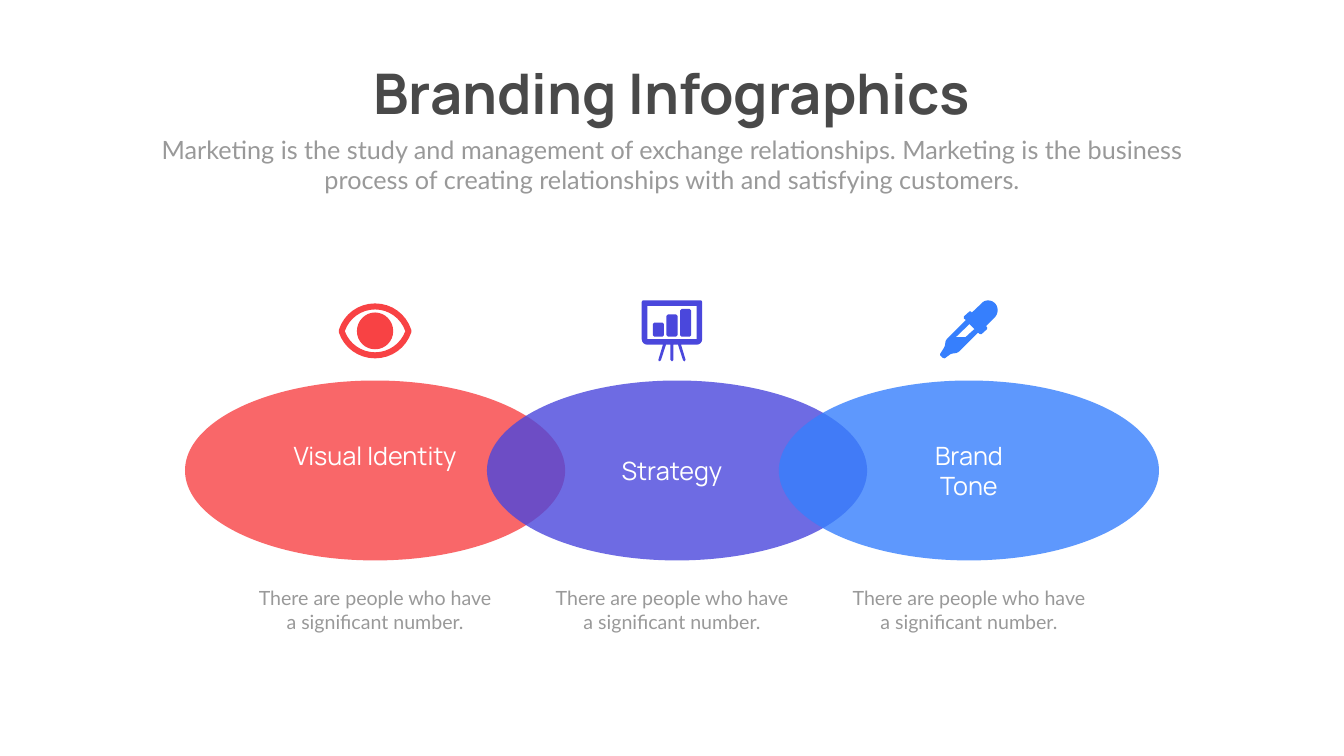
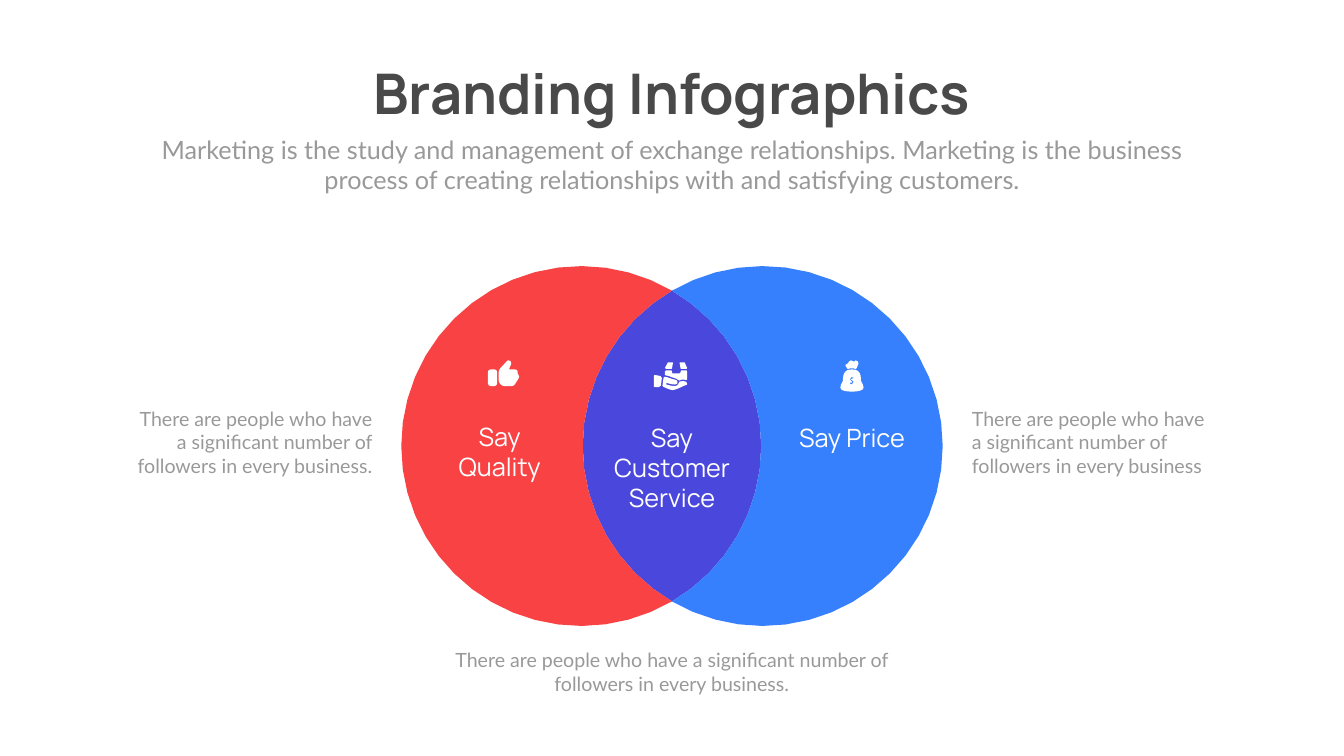
"""Build two branding infographic slides: overlapping ellipses and a Venn diagram."""
import math

import pptx
import pptx.dml.color
import pptx.enum.shapes
import pptx.enum.text
import pptx.oxml.ns
import pptx.util
from lxml import etree

Pt = pptx.util.Pt
RGBColor = pptx.dml.color.RGBColor
ALIGN = pptx.enum.text.PP_ALIGN
RED = RGBColor(0xF8, 0x42, 0x44)
INDIGO = RGBColor(0x4A, 0x47, 0xDC)
BLUE = RGBColor(0x36, 0x7F, 0xFD)
DARK = RGBColor(0x49, 0x49, 0x49)
GREY = RGBColor(0x99, 0x99, 0x99)
WHITE = RGBColor(0xFF, 0xFF, 0xFF)
UNIT = Pt(0.72)
FINE = 100


def add_text(shapes, text, left, top, width, height, size, font, color,
             align=ALIGN.CENTER, bold=None, wrap=True):
    tb = shapes.add_textbox(Pt(left), Pt(top), Pt(width), Pt(height))
    tf = tb.text_frame
    tf.word_wrap = wrap
    tf.auto_size = pptx.enum.text.MSO_AUTO_SIZE.SHAPE_TO_FIT_TEXT
    p = tf.paragraphs[0]
    p.alignment = align
    r = p.add_run()
    r.text = text
    r.font.size = Pt(size)
    r.font.name = font
    r.font.bold = bold
    r.font.color.rgb = color


def draw(shapes, left, top, outline, color):
    contours, command, pending = [], "", []
    for token in outline.split():
        if token in "MLC":
            command = token
            continue
        point = tuple(float(v) * FINE for v in token.split(","))
        if command == "M":
            contours.append([point])
        elif command == "L":
            contours[-1].append(point)
        else:
            pending.append(point)
            if len(pending) == 3:
                curve = [contours[-1][-1]] + pending
                steps = max(1, min(8, round(math.dist(curve[0], curve[3]) / FINE / 4)))
                for t in [i / steps for i in range(1, steps + 1)]:
                    weights = [math.comb(3, k) * t**k * (1 - t)**(3 - k) for k in range(4)]
                    contours[-1].append(tuple(
                        sum(w * q[axis] for w, q in zip(weights, curve)) for axis in (0, 1)))
                pending = []
    builder = shapes.build_freeform(*contours[0][0], scale=UNIT / FINE)
    for i, contour in enumerate(contours):
        if i:
            builder.move_to(*contour[0])
        builder.add_line_segments(contour[1:], close=True)
    sp = builder.convert_to_shape(Pt(left), Pt(top))
    sp.shadow.inherit = False
    sp.fill.solid()
    sp.fill.fore_color.rgb = color
    sp.line.fill.background()


EYE = [
    "M 144,20 C 164,20 180,37 180,57 180,77 164,93 144,93 124,93 108,77 108,57 108,37 124,20 144,20 "
    "M 144,14 C 117,14 93,31 84,57 93,82 117,99 144,99 171,99 195,82 204,57 195,31 171,14 144,14 "
    "M 144,2 C 177,2 206,23 216,55 217,56 217,57 216,59 206,90 177,111 144,111 "
    "111,111 82,90 72,59 71,57 71,56 72,55 82,23 111,2 144,2",
]
BOARD = [
    "M 191,96 L 75,96 C 74,96 73,98 73,99 L 73,173 C 73,179 78,184 84,184 L 115,184 106,214 "
    "C 105,215 106,217 107,217 109,217 111,216 111,215 L 121,184 130,184 130,214 "
    "C 130,216 132,217 133,217 135,217 136,216 136,214 L 136,184 145,184 155,215 "
    "C 156,216 157,217 158,217 160,217 161,215 160,214 L 151,184 182,184 "
    "C 188,184 193,179 193,173 L 193,99 C 193,98 192,96 191,96 "
    "M 182,173 L 84,173 84,107 182,107",
]
for x, y in [(95, 140), (122, 124), (149, 113)]:
    BOARD.append(
        f"M {x + 3},168 L {x + 19},168 C {x + 20},168 {x + 22},167 {x + 22},165 L {x + 22},{y + 3} "
        f"C {x + 22},{y + 2} {x + 20},{y} {x + 19},{y} L {x + 3},{y} "
        f"C {x + 1},{y} {x},{y + 2} {x},{y + 3} L {x},165 C {x},167 {x + 1},168 {x + 3},168")
DROPPER = [
    "M 179,115 C 179,105 171,96 160,96 155,96 150,98 147,102 L 128,120 126,118 "
    "C 125,117 124,117 123,118 L 112,128 C 111,129 111,131 112,132 L 116,135 79,172 "
    "C 76,175 75,178 75,182 75,185 74,188 72,191 L 65,202 C 64,203 64,204 65,205 L 70,210 "
    "C 71,211 73,211 74,211 L 85,203 C 87,202 90,201 93,201 97,201 101,199 103,197 "
    "108,192 137,163 140,160 L 144,163 C 144,164 146,164 147,163 L 158,153 "
    "C 159,152 159,150 158,149 L 156,147 174,129 C 177,125 179,121 179,115 "
    "M 115,169 L 96,169 123,143 133,153 C 128,157 122,163 115,169",
]
THUMB = [
    "M 128,43 L 127,41 127,38 C 127,35 125,33 122,33 L 111,33 "
    "C 110,33 110,32 110,32 109,32 109,32 110,31 L 114,23 C 114,22 114,21 114,20 "
    "114,17 112,15 109,15 L 108,15 C 107,15 107,15 107,15 L 93,30 C 90,33 89,37 89,41 L 89,53 "
    "C 89,60 94,66 101,66 L 115,66 C 118,66 119,65 121,63 L 128,52 "
    "C 129,51 130,49 130,48 130,46 129,45 128,43",
    "M 81,33 L 73,33 C 70,33 68,35 68,38 L 68,61 C 68,64 70,66 73,66 L 81,66 "
    "C 84,66 86,64 86,61 L 86,38 C 86,35 84,33 81,33",
]
HAND = [
    "M 110,46 L 99,44 97,45 97,67 99,68 107,68 C 109,68 111,67 111,65 L 113,50 "
    "C 114,48 112,46 110,46",
    "M 155,56 C 153,56 151,57 148,57 L 147,59 C 147,61 146,63 144,64 "
    "143,65 141,66 138,66 134,66 129,65 122,63 L 121,61 123,60 "
    "C 129,62 134,63 138,63 141,63 142,62 143,62 L 144,58 "
    "C 144,54 139,53 133,52 131,51 129,50 127,50 125,49 123,48 121,48 L 117,48 116,51 114,65 115,67 "
    "C 121,70 130,74 134,74 140,74 151,68 158,65 160,64 162,63 163,63 L 163,61 "
    "C 163,58 160,56 155,56",
    "M 121,32 L 132,32 133,31 135,20 134,19 126,19 125,19 119,30",
    "M 150,31 L 151,32 162,32 163,30 158,19 156,19 149,19 148,20",
    "M 162,35 L 151,35 150,37 150,39 148,41 134,41 133,39 133,37 132,35 121,35 119,37 119,44 121,45 "
    "C 124,45 126,46 129,47 130,48 132,49 134,49 137,50 143,51 145,54 L 147,55 "
    "C 150,54 153,53 155,53 157,53 160,54 161,54 L 163,53 163,37",
]
BAG = [
    "M 80,31 L 82,32 C 84,31 87,31 90,31 93,31 95,31 97,32 L 99,31 "
    "100,29 C 101,26 103,22 103,21 103,18 101,15 97,15 95,15 94,17 94,18 "
    "L 93,17 C 92,17 91,15 88,15 85,15 83,19 82,21 79,21 77,22 77,24 77,26 78,28 80,30",
    "M 108,56 C 108,42 105,33 90,33 75,33 72,42 72,56 71,58 67,64 67,69 67,76 81,77 90,77 "
    "98,77 113,76 113,69 113,64 109,58 108,56 "
    "M 90,54 C 92,54 94,56 94,58 94,60 93,61 91,61 L 91,62 90,63 88,62 87,62 86,60 87,59 90,59 "
    "91,58 90,57 C 88,57 86,55 86,53 86,51 87,50 88,49 L 90,48 91,49 92,49 94,50 92,51 90,51 "
    "88,53",
]

prs = pptx.Presentation()
prs.slide_width = Pt(1919.52)
prs.slide_height = Pt(1080)
slides = []
for _ in range(2):
    s = prs.slides.add_slide(prs.slide_layouts[6])
    add_text(s.shapes, "Branding Infographics", 486, 80.64, 947.52, 104.4, 80, "Manrope", DARK,
             bold=True, wrap=False)
    add_text(s.shapes, "Marketing is the study and management of exchange relationships. "
             "Marketing is the business process of creating relationships with and satisfying customers.",
             210.24, 187.92, 1499.04, 94.32, 36, "Lato", GREY)
    slides.append(s)
ellipse_slide, venn_slide = slides

for left, color in [(264.24, RED), (695.52, INDIGO), (1112.4, BLUE)]:
    sp = ellipse_slide.shapes.add_shape(pptx.enum.shapes.MSO_SHAPE.OVAL,
                                        Pt(left), Pt(543.6), Pt(542.88), Pt(257.04))
    sp.shadow.inherit = False
    sp.fill.solid()
    sp.fill.fore_color.rgb = color
    sp.line.fill.background()
    clr = sp.element.spPr.find(".//" + pptx.oxml.ns.qn("a:srgbClr"))
    etree.SubElement(clr, pptx.oxml.ns.qn("a:alpha"), val="80000")

for label, left, top, width, height in [
        ("Visual Identity", 406.08, 624.96, 259.2, 94.32),
        ("Strategy", 830.16, 646.56, 259.2, 51.12),
        ("Brand Tone", 1298.88, 624.96, 169.92, 94.32)]:
    add_text(ellipse_slide.shapes, label, left, top, width, height, 36, "Manrope", WHITE)

for i in range(3):
    add_text(ellipse_slide.shapes, "There are people who have a significant number.",
             352.08 + 424.08 * i, 833.76, 367.2, 74.88, 28, "Lato", GREY)

venn = venn_slide.shapes.add_group_shape().shapes
radius, red_x, blue_x, center_y = 357, 1153, 1513, 885
a = math.acos((blue_x - red_x) / 2 / radius)
for color, arcs in [
        (INDIGO, [(red_x, -a, a), (blue_x, math.pi - a, math.pi + a)]),
        (RED, [(red_x, a, 2 * math.pi - a), (blue_x, math.pi + a, math.pi - a)]),
        (BLUE, [(blue_x, math.pi + a, 3 * math.pi - a), (red_x, a, -a)])]:
    points = []
    for center_x, start, end in arcs:
        steps = round(abs(end - start) * 24 / math.pi)
        for i in range(steps + 1):
            angle = start + (end - start) * i / steps
            points.append(f"{center_x + radius * math.cos(angle):.2f},"
                          f"{center_y + radius * math.sin(angle):.2f}")
    draw(venn, 0, 0, f"M {points[0]} L " + " ".join(points[1:]), color)

for label, left, top, width, height in [
        ("Say Customer Service", 851.76, 599.76, 216, 138.24),
        ("Say Quality", 618.48, 598.32, 190.08, 94.32),
        ("Say Price", 1118.88, 599.76, 195.84, 51.12)]:
    add_text(venn, label, left, top, width, height, 36, "Manrope", WHITE)

note = "There are people who have a significant number of followers in every business"
for text, left, top, width, height, align in [
        (note, 1380.96, 577.44, 365.76, 108.72, ALIGN.LEFT),
        (note + ".", 172.8, 577.44, 365.76, 108.72, ALIGN.RIGHT),
        (note + ".", 634.32, 922.32, 650.16, 74.88, ALIGN.CENTER)]:
    add_text(venn, text, left, top, width, height, 28, "Lato", GREY, align)

for s, icon, left, top, color in [
        (ellipse_slide, EYE, 432, 432, RED),
        (ellipse_slide, BOARD, 864, 360, INDIGO),
        (ellipse_slide, DROPPER, 1296, 360, BLUE),
        (venn_slide, THUMB, 648, 504, WHITE),
        (venn_slide, HAND, 864, 504, WHITE),
        (venn_slide, BAG, 1152, 504, WHITE)]:
    shapes = s.shapes if len(icon) == 1 else s.shapes.add_group_shape().shapes
    for outline in icon:
        draw(shapes, left, top, outline, color)

prs.save("out.pptx")
